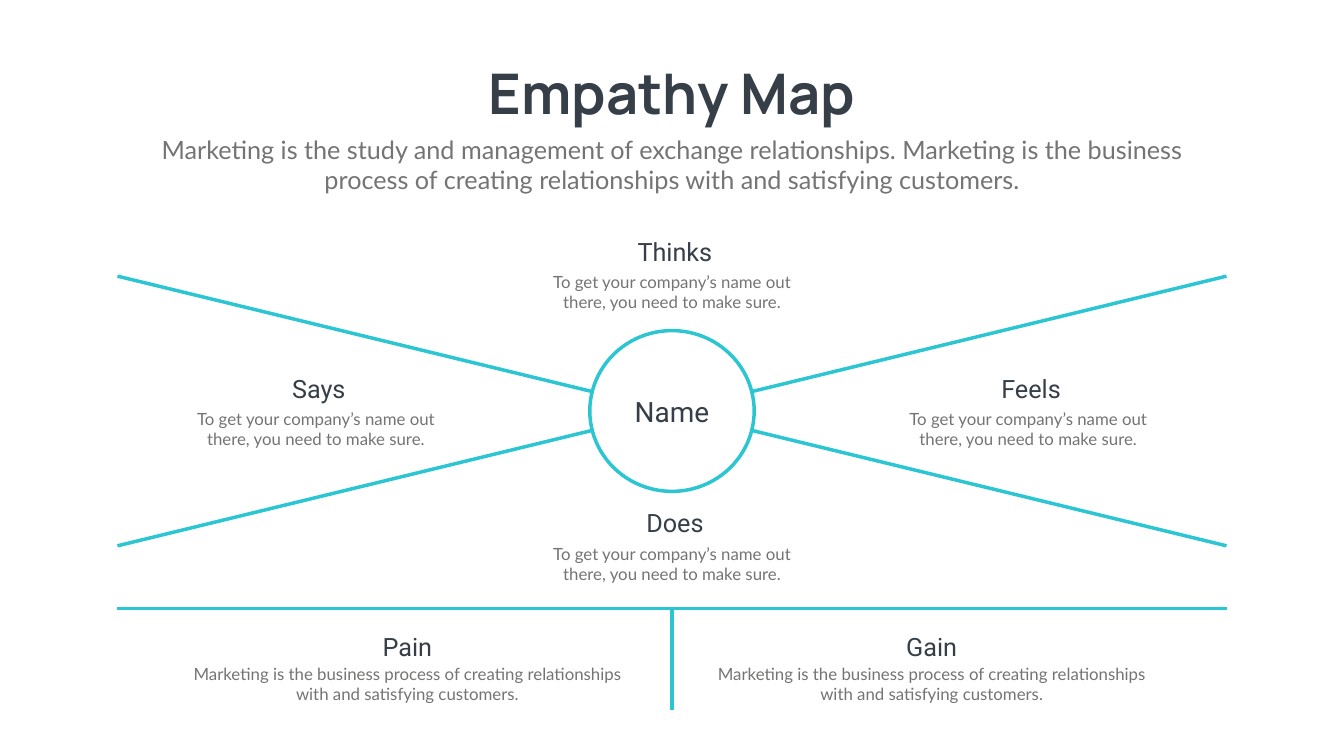
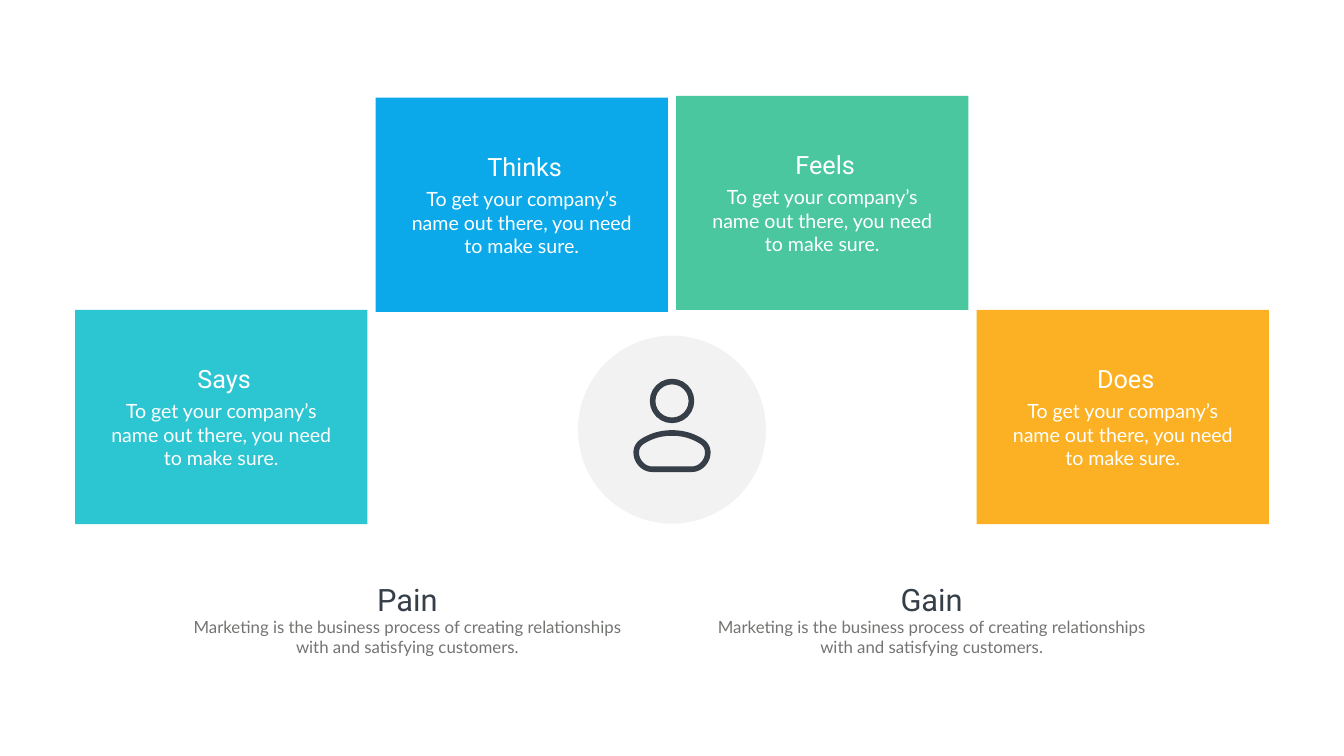
from dataclasses import dataclass

from lxml.etree import SubElement
from pptx import Presentation
from pptx.dml.color import RGBColor
from pptx.enum.shapes import MSO_CONNECTOR as Connector, MSO_SHAPE as Shape
from pptx.enum.text import MSO_ANCHOR as Anchor, MSO_AUTO_SIZE as AutoSize, PP_ALIGN as Align
from pptx.oxml.ns import qn
from pptx.util import Inches, Pt

SLIDE_WIDTH, SLIDE_HEIGHT = Inches(26.66), Inches(15)


@dataclass(frozen=True)
class Theme:
    ink: str = "363E48"
    grey: str = "737572"
    white: str = "FFFFFF"
    pale: str = "F2F2F2"
    teal: str = "2CC5D2"
    blue: str = "0BA9E9"
    green: str = "4BC79F"
    amber: str = "FBB123"
    title_font: str = "Manrope"
    heading_font: str = "Roboto"
    body_font: str = "Lato"
    title_size: int = 80
    lead_size: int = 36
    name_size: int = 40
    line_width: int = 5
    icon_width: int = 8


THEME = Theme()


@dataclass(frozen=True)
class CaptionStyle:
    """Sizes in points; lengths in percent of the slide."""
    heading_size: int = 36
    heading_width: float = 12.23
    heading_height: float = 4.73
    heading_shift: float = 0.22
    heading_color: str = THEME.ink
    body_size: int = 24
    body_width: float = 20.29
    body_height: float = 6.07
    body_drop: float = 4.73
    body_color: str = THEME.grey


QUADRANT = CaptionStyle()
CARD = CaptionStyle(heading_color=THEME.white, body_color=THEME.white,
                    body_size=28, body_width=17.63, body_height=10.07)
OUTCOME = CaptionStyle(heading_width=13.13, heading_shift=0,
                       body_width=33.31, body_drop=4.33)
LARGE_OUTCOME = CaptionStyle(heading_size=44, heading_width=13.13, heading_height=5.6,
                             heading_shift=0, body_width=33.31, body_drop=4.8)

NEED = "To get your company’s name out there, you need to make sure."
PROCESS = "Marketing is the business process of creating relationships with and satisfying customers."
LEAD = ("Marketing is the study and management of exchange relationships. Marketing is "
        "the business process of creating relationships with and satisfying customers.")


def across(percent):
    return round(SLIDE_WIDTH * percent / 100)


def down(percent):
    return round(SLIDE_HEIGHT * percent / 100)


def centred_box(centre, top, width, height):
    """Left, top, width and height of a box centred on a column."""
    return across(centre - width / 2), down(top), across(width), down(height)


def write(text_frame, text, font_name, size, color, bold=False):
    text_frame.text = text
    paragraph = text_frame.paragraphs[0]
    paragraph.alignment = Align.CENTER
    paragraph.space_before = Pt(0)
    font = paragraph.runs[0].font
    font.name, font.size, font.bold = font_name, Pt(size), bold
    font.color.rgb = RGBColor.from_string(color)


def fill_placeholder(placeholder, box, text, font_name, size, color, bold=False, wrap=True):
    placeholder.left, placeholder.top, placeholder.width, placeholder.height = box
    text_frame = placeholder.text_frame
    text_frame.word_wrap = wrap
    text_frame.auto_size = AutoSize.SHAPE_TO_FIT_TEXT
    text_frame.vertical_anchor = Anchor.TOP
    write(text_frame, text, font_name, size, color, bold)


def add_text(slide, box, text, font_name, size, color):
    text_frame = slide.shapes.add_textbox(*box).text_frame
    text_frame.word_wrap = True
    text_frame.auto_size = AutoSize.SHAPE_TO_FIT_TEXT
    write(text_frame, text, font_name, size, color)


def add_caption(slide, centre, top, heading, body, style):
    body_box = centred_box(centre, top + style.body_drop, style.body_width, style.body_height)
    add_text(slide, body_box, body, THEME.body_font, style.body_size, style.body_color)
    heading_box = centred_box(centre + style.heading_shift, top,
                              style.heading_width, style.heading_height)
    add_text(slide, heading_box, heading, THEME.heading_font,
             style.heading_size, style.heading_color)


def add_outcomes(slide, top, style):
    for centre, heading in ((30.31, "Pain"), (69.32, "Gain")):
        add_caption(slide, centre, top, heading, PROCESS, style)


def paint(shape, fill=None, line=None, line_width=THEME.line_width):
    shape.shadow.inherit = False
    if fill:
        shape.fill.solid()
        shape.fill.fore_color.rgb = RGBColor.from_string(fill)
    else:
        shape.fill.background()
    if line:
        shape.line.color.rgb = RGBColor.from_string(line)
        shape.line.width = Pt(line_width)
    else:
        shape.line.fill.background()


def add_rule(slide, start, end):
    connector = slide.shapes.add_connector(
        Connector.STRAIGHT, across(start[0]), down(start[1]), across(end[0]), down(end[1]))
    connector.line.color.rgb = RGBColor.from_string(THEME.teal)
    connector.line.width = Pt(THEME.line_width)
    SubElement(connector._element.spPr, qn("a:effectLst"))


def curve_points(start, curves, steps=12):
    """Points along a chain of cubic curves, given as two controls and an end."""
    points = [start]
    for first, second, end in curves:
        corners = (points[-1], first, second, end)
        for step in range(1, steps + 1):
            t = step / steps
            weights = ((1 - t) ** 3, 3 * t * (1 - t) ** 2, 3 * t ** 2 * (1 - t), t ** 3)
            points.append(tuple(sum(weight * corner[axis] for weight, corner
                                    in zip(weights, corners)) for axis in (0, 1)))
    return points


def add_person(slide):
    head = slide.shapes.add_shape(Shape.OVAL, *centred_box(50, 50.47, 2.89, 5.13))
    paint(head, line=THEME.ink, line_width=THEME.icon_width)

    left_half = curve_points((-1.46, 62.07), [
        ((-2.1, 62.07), (-2.66, 61.07), (-2.66, 59.87)),
        ((-2.66, 59.2), (-2.48, 58.73), (-2.21, 58.4)),
        ((-1.58, 57.67), (-0.83, 57.27), (0, 57.27)),
    ])
    right_half = [(-x, y) for x, y in reversed(left_half[:-1])]
    outline = [(across(50 + x), down(y)) for x, y in left_half + right_half]
    builder = slide.shapes.build_freeform(*outline[0])
    builder.add_line_segments(outline[1:], close=True)
    paint(builder.convert_to_shape(), line=THEME.ink, line_width=THEME.icon_width)


def build_map_slide(presentation):
    slide = presentation.slides.add_slide(presentation.slide_layouts[0])
    title, lead = slide.placeholders
    fill_placeholder(title, centred_box(50, 7.47, 30.91, 9.67), "Empathy Map",
                     THEME.title_font, THEME.title_size, THEME.ink, bold=True, wrap=False)
    fill_placeholder(lead, centred_box(50, 17.4, 78.09, 8.73), LEAD,
                     THEME.body_font, THEME.lead_size, THEME.grey)

    left, right, upper, lower, base, foot = 8.74, 91.26, 36.53, 72.2, 80.47, 93.93
    for start, end in (((left, lower), (right, upper)), ((left, upper), (right, lower)),
                       ((left, base), (right, base)), ((50, base), (50, foot))):
        add_rule(slide, start, end)

    for centre, top, heading in ((50, 30.87, "Thinks"), (23.5, 49, "Says"),
                                 (76.5, 49, "Feels"), (50, 66.8, "Does")):
        add_caption(slide, centre, top, heading, NEED, QUADRANT)

    hub = slide.shapes.add_shape(Shape.OVAL, *centred_box(50, 43.73, 12.23, 21.27))
    paint(hub, THEME.white, THEME.teal)
    hub.text_frame.vertical_anchor = Anchor.MIDDLE
    write(hub.text_frame, "Name", THEME.heading_font, THEME.name_size, THEME.ink)
    add_outcomes(slide, 83.13, OUTCOME)


def build_cards_slide(presentation):
    slide = presentation.slides.add_slide(presentation.slide_layouts[6])
    disc = slide.shapes.add_shape(Shape.OVAL, *centred_box(50, 44.4, 13.99, 24.87))
    paint(disc, THEME.pale)

    card_width, card_height, gap = 21.76, 28.33, 0.6
    cards = (("Says", THEME.teal, 41), ("Thinks", THEME.blue, 12.93),
             ("Feels", THEME.green, 12.67), ("Does", THEME.amber, 41))
    for index, (heading, color, top) in enumerate(cards):
        centre = 50 + (index - (len(cards) - 1) / 2) * (card_width + gap)
        box = centred_box(centre, top, card_width, card_height)
        paint(slide.shapes.add_shape(Shape.RECTANGLE, *box), color)
        add_caption(slide, centre, top + 6.73, heading, NEED, CARD)

    add_outcomes(slide, 76.47, LARGE_OUTCOME)
    add_person(slide)


def main():
    presentation = Presentation()
    presentation.slide_width, presentation.slide_height = SLIDE_WIDTH, SLIDE_HEIGHT
    build_map_slide(presentation)
    build_cards_slide(presentation)
    presentation.save("out.pptx")


if __name__ == "__main__":
    main()
